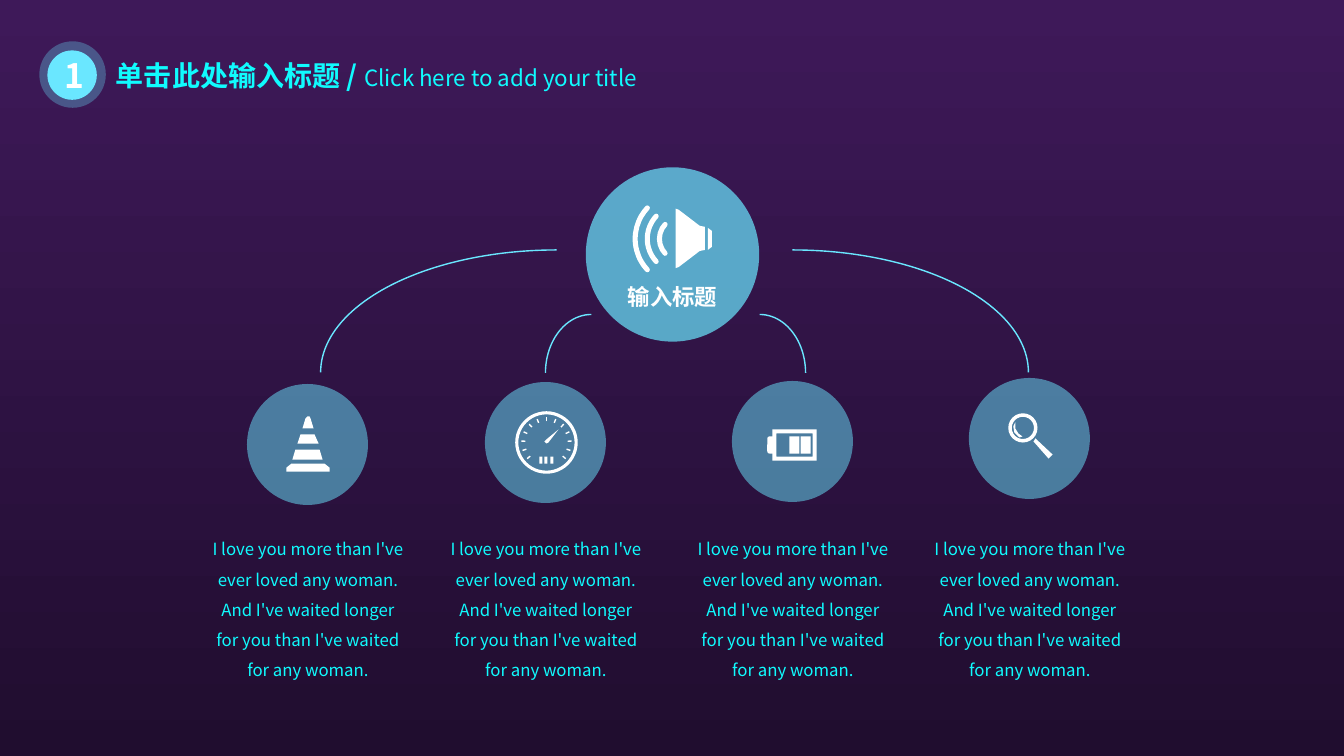
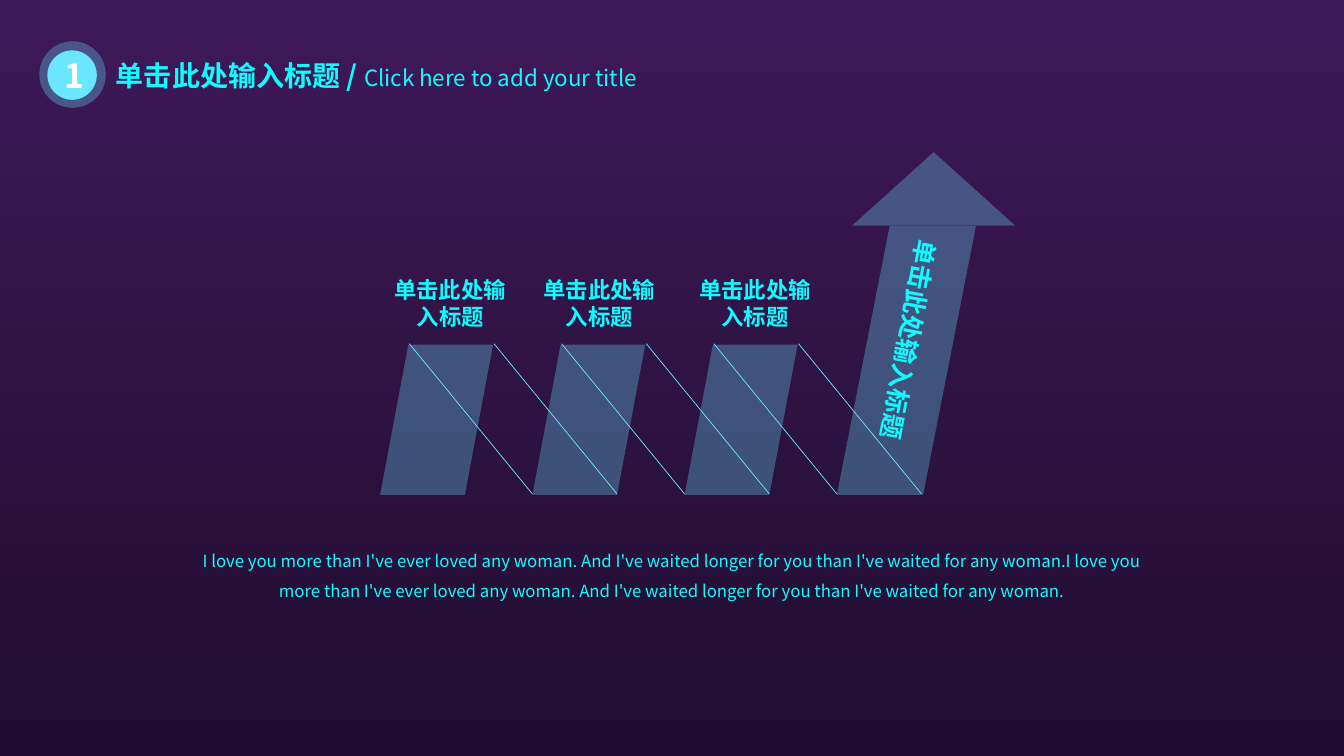
from dataclasses import dataclass
from math import cos, radians, sin
from typing import Any, Callable

from lxml.etree import SubElement
from pptx import Presentation
from pptx.dml.color import RGBColor
from pptx.enum.shapes import MSO_CONNECTOR, MSO_SHAPE as Preset
from pptx.enum.text import MSO_ANCHOR, MSO_AUTO_SIZE, PP_ALIGN
from pptx.oxml.ns import qn
from pptx.util import Inches, Pt

FONT = "Noto Sans CJK SC"
CYAN = RGBColor(0x10, 0xFB, 0xFE)
SKY = RGBColor(0x6A, 0xE7, 0xFF)
WHITE = RGBColor(0xFF, 0xFF, 0xFF)
NIGHT_TOP = RGBColor(0x3E, 0x19, 0x59)
NIGHT_BOTTOM = RGBColor(0x20, 0x0D, 0x2F)
TITLE = "单击此处输入标题"
QUOTE = ("I love you more than I've ever loved any woman. "
         "And I've waited longer for you than I've waited for any woman.")
WIDE_INSETS = (0.1, 0.05)
SLIM_INSETS = (0.07, 0.04)
TITLE_ONLY = 5

Point = tuple[float, float]


@dataclass(frozen=True)
class Box:
    left: float
    top: float
    width: float
    height: float

    def lengths(self) -> list[int]:
        return [Inches(n) for n in (self.left, self.top, self.width, self.height)]


@dataclass(frozen=True)
class Span:
    text: str
    size: float
    bold: bool = False
    color: RGBColor = CYAN


@dataclass(frozen=True)
class Branch:
    center: float
    top: float
    draw_icon: Callable[[Any], None]


@dataclass(frozen=True)
class Curve:
    box: Box
    start: int
    end: int


def apply(target: Any, values: dict[str, Any]) -> None:
    for name, value in values.items():
        setattr(target, name, value)


def paint(shape: Any, color: RGBColor, opacity: int = 100) -> None:
    shape.shadow.inherit = False
    shape.fill.solid()
    shape.fill.fore_color.rgb = color
    shape.line.fill.background()
    if opacity < 100:
        tint = shape.element.spPr.find(qn("a:solidFill"))[0]
        SubElement(tint, qn("a:alpha"), val=str(opacity * 1000))


def add_solid(shapes: Any, preset: Preset, box: Box, color: RGBColor = WHITE,
              opacity: int = 100, adjust: float | None = None) -> Any:
    shape = shapes.add_shape(preset, *box.lengths())
    paint(shape, color, opacity)
    if adjust is not None:
        shape.adjustments[0] = adjust
    return shape


def add_polygon(shapes: Any, points: list[Point]) -> None:
    corners = [(Inches(x), Inches(y)) for x, y in points]
    builder = shapes.build_freeform(*corners[0], scale=1.0)
    builder.add_line_segments(corners[1:], close=True)
    paint(builder.convert_to_shape(), WHITE)


def add_arc(shapes: Any, curve: Curve, color: RGBColor, width: float) -> Any:
    arc = shapes.add_shape(Preset.ARC, *curve.box.lengths())
    arc.shadow.inherit = False
    arc.fill.background()
    arc.line.color.rgb = color
    arc.line.width = Pt(width)
    for index, angle in enumerate((curve.start, curve.end)):
        arc.adjustments[index] = angle * 0.6
    return arc


def add_line(shapes: Any, start: Point, end: Point, color: RGBColor, width: float) -> None:
    ends = [Inches(n) for n in (*start, *end)]
    line = shapes.add_connector(MSO_CONNECTOR.STRAIGHT, *ends)
    line.line.color.rgb = color
    line.line.width = Pt(width)
    SubElement(line.element.spPr, qn("a:effectLst"))


def write(para: Any, spans: list[Span]) -> None:
    for span in spans:
        run = para.add_run()
        run.text = span.text
        run.font.color.rgb = span.color
        apply(run.font, {"name": FONT, "size": Pt(span.size), "bold": span.bold})
        SubElement(run._r.get_or_add_rPr(), qn("a:ea"), typeface=FONT)


def fill_frame(shape: Any, spans: list[Span], insets: Point = WIDE_INSETS,
               align: PP_ALIGN = PP_ALIGN.CENTER, spacing: float = 1.0) -> None:
    side, edge = (Inches(n) for n in insets)
    apply(shape.text_frame, {
        "word_wrap": True, "auto_size": MSO_AUTO_SIZE.SHAPE_TO_FIT_TEXT,
        "vertical_anchor": MSO_ANCHOR.TOP,
        "margin_left": side, "margin_right": side,
        "margin_top": edge, "margin_bottom": edge,
    })
    para = shape.text_frame.paragraphs[0]
    apply(para, {"alignment": align, "line_spacing": spacing})
    write(para, spans)


def add_text(shapes: Any, box: Box, span: Span, insets: Point = WIDE_INSETS,
             spacing: float = 1.0) -> Any:
    shape = shapes.add_textbox(*box.lengths())
    fill_frame(shape, [span], insets, spacing=spacing)
    return shape


def set_background(deck: Any) -> None:
    fill = deck.slide_master.background.fill
    fill.gradient()
    fill.gradient_angle = 270
    for stop, color in zip(fill.gradient_stops, (NIGHT_TOP, NIGHT_BOTTOM)):
        stop.color.rgb = color


def add_page(deck: Any) -> Any:
    page = deck.slides.add_slide(deck.slide_layouts[TITLE_ONLY])
    title = page.shapes.title
    box = Box(1.05, 0.53, 5.73, 0.44)
    apply(title, dict(zip(("left", "top", "width", "height"), box.lengths())))
    fill_frame(title, [Span(f"{TITLE} / ", 20, True),
                       Span("Click here to add your title", 16)], align=PP_ALIGN.LEFT)
    badge = page.shapes.add_group_shape().shapes
    add_solid(badge, Preset.OVAL, Box(0.39, 0.41, 0.66, 0.66), SKY, 30)
    disc = add_solid(badge, Preset.OVAL, Box(0.47, 0.5, 0.49, 0.49), SKY)
    disc.text_frame.vertical_anchor = MSO_ANCHOR.MIDDLE
    para = disc.text_frame.paragraphs[0]
    para.alignment = PP_ALIGN.CENTER
    write(para, [Span("1", 24, True, WHITE)])
    return page


def draw_cone(shapes: Any) -> None:
    for points in (
        [(2.84, 4.68), (3.27, 4.68), (3.27, 4.64), (3.22, 4.6), (2.89, 4.6), (2.84, 4.64)],
        [(3.2, 4.56), (3.17, 4.46), (2.93, 4.46), (2.9, 4.56)],
        [(3.16, 4.4), (3.12, 4.31), (2.98, 4.31), (2.95, 4.4)],
        [(3, 4.25), (3.03, 4.15), (3.05, 4.13), (3.07, 4.13), (3.08, 4.15), (3.11, 4.25)],
    ):
        add_polygon(shapes, points)


def draw_gauge(shapes: Any) -> None:
    x, y, tick_count = 5.42, 4.39, 13
    add_solid(shapes, Preset.DONUT, Box(5.11, 4.08, 0.62, 0.62), adjust=0.05)
    for index in range(tick_count):
        angle = radians(-40 + 260 * index / (tick_count - 1))
        inner, outer = ((x + r * cos(angle), y - r * sin(angle)) for r in (0.21, 0.25))
        add_line(shapes, inner, outer, WHITE, 1)
    for left in (5.35, 5.4, 5.46):
        add_solid(shapes, Preset.RECTANGLE, Box(left, 4.53, 0.03, 0.07))
    add_polygon(shapes, [(5.54, 4.26), (5.44, 4.39), (5.42, 4.4), (5.4, 4.38), (5.42, 4.36)])


def draw_battery(shapes: Any) -> None:
    add_solid(shapes, Preset.FRAME, Box(7.66, 4.26, 0.44, 0.31), adjust=0.13)
    add_solid(shapes, Preset.ROUNDED_RECTANGLE, Box(7.61, 4.33, 0.08, 0.17), adjust=0.3)
    for left in (7.83, 7.94):
        add_solid(shapes, Preset.RECTANGLE, Box(left, 4.33, 0.1, 0.17))


def draw_magnifier(shapes: Any) -> None:
    add_solid(shapes, Preset.DONUT, Box(10, 4.1, 0.29, 0.29), adjust=0.12)
    add_polygon(shapes, [(10.44, 4.51), (10.4, 4.55), (10.25, 4.38), (10.27, 4.35)])
    add_polygon(shapes, [(10.07, 4.19), (10.07, 4.25), (10.1, 4.3), (10.14, 4.33),
                         (10.11, 4.34), (10.06, 4.29), (10.05, 4.23)])


def draw_speaker(shapes: Any) -> None:
    add_polygon(shapes, [(6.7, 2.07), (6.73, 2.08), (6.94, 2.24), (6.99, 2.25),
                         (6.99, 2.48), (6.94, 2.49), (6.73, 2.65), (6.7, 2.66)])
    add_polygon(shapes, [(7.02, 2.26), (7.06, 2.29), (7.06, 2.45), (7.02, 2.48)])
    for radius in (0.21, 0.33, 0.45):
        box = Box(6.75 - radius, 2.37 - radius, 2 * radius, 2 * radius)
        wave = add_arc(shapes, Curve(box, 137, 223), WHITE, 3.6)
        wave.element.spPr.find(qn("a:ln")).set("cap", "rnd")


BRANCHES = (
    Branch(3.05, 3.81, draw_cone),
    Branch(5.41, 3.79, draw_gauge),
    Branch(7.86, 3.78, draw_battery),
    Branch(10.21, 3.75, draw_magnifier),
)
CURVES = (
    Curve(Box(3.18, 2.48, 4.68, 2.43), 180, 270),
    Curve(Box(5.52, 2.48, 4.68, 2.43), 270, 0),
    Curve(Box(5.41, 3.12, 0.91, 1.16), 180, 270),
    Curve(Box(7.08, 3.12, 0.91, 1.16), 270, 0),
)


def build_branches(deck: Any) -> None:
    page = add_page(deck)
    for curve in CURVES:
        add_arc(page.shapes, curve, SKY, 1)
    for branch in BRANCHES:
        node = page.shapes.add_group_shape().shapes
        add_solid(node, Preset.OVAL, Box(branch.center - 0.6, branch.top, 1.2, 1.2), SKY, 50)
        branch.draw_icon(node)
        add_text(page.shapes, Box(branch.center - 1.06, 5.2, 2.13, 1.61),
                 Span(QUOTE, 12), spacing=1.5)
    hub = page.shapes.add_group_shape().shapes
    add_solid(hub, Preset.OVAL, Box(5.81, 1.66, 1.72, 1.73), SKY, 70)
    draw_speaker(hub)
    add_text(hub, Box(5.97, 2.78, 1.4, 0.32), Span("输入标题", 16, True, WHITE), (0.05, 0.03))


def build_arrow(deck: Any) -> None:
    page = add_page(deck)
    shapes = page.shapes
    left, pitch = 3.77, 1.51
    label_widths = (1.39, 1.33, 1.4)
    columns = [left + pitch * index for index in range(len(label_widths))]
    for column in columns:
        add_solid(shapes, Preset.PARALLELOGRAM, Box(column, 3.42, 1.12, 1.49), SKY, 30)
    add_solid(shapes, Preset.PARALLELOGRAM, Box(8.3, 2.24, 1.38, 2.67), SKY, 30, 0.38)
    add_solid(shapes, Preset.ISOSCELES_TRIANGLE, Box(8.45, 1.51, 1.62, 0.73), SKY, 30)
    for column, width in zip(columns, label_widths):
        for offset in (0.29, 1.13):
            x = column + offset
            add_line(shapes, (x, 3.41), (x + 1.22, 4.9), SKY, 0.5)
        add_text(shapes, Box(column, 2.7, width, 0.61), Span(TITLE, 16, True), SLIM_INSETS)
    add_text(shapes, Box(1.77, 5.32, 9.79, 0.68), Span(QUOTE * 2, 12), SLIM_INSETS, 1.5)
    label = add_text(shapes, Box(7.62, 3.18, 2.8, 0.38), Span(TITLE, 18, True), SLIM_INSETS)
    label.rotation = 100.5


def main() -> None:
    deck = Presentation()
    apply(deck, {"slide_width": Inches(13.33), "slide_height": Inches(7.5)})
    set_background(deck)
    build_branches(deck)
    build_arrow(deck)
    deck.save("out.pptx")


if __name__ == "__main__":
    main()
